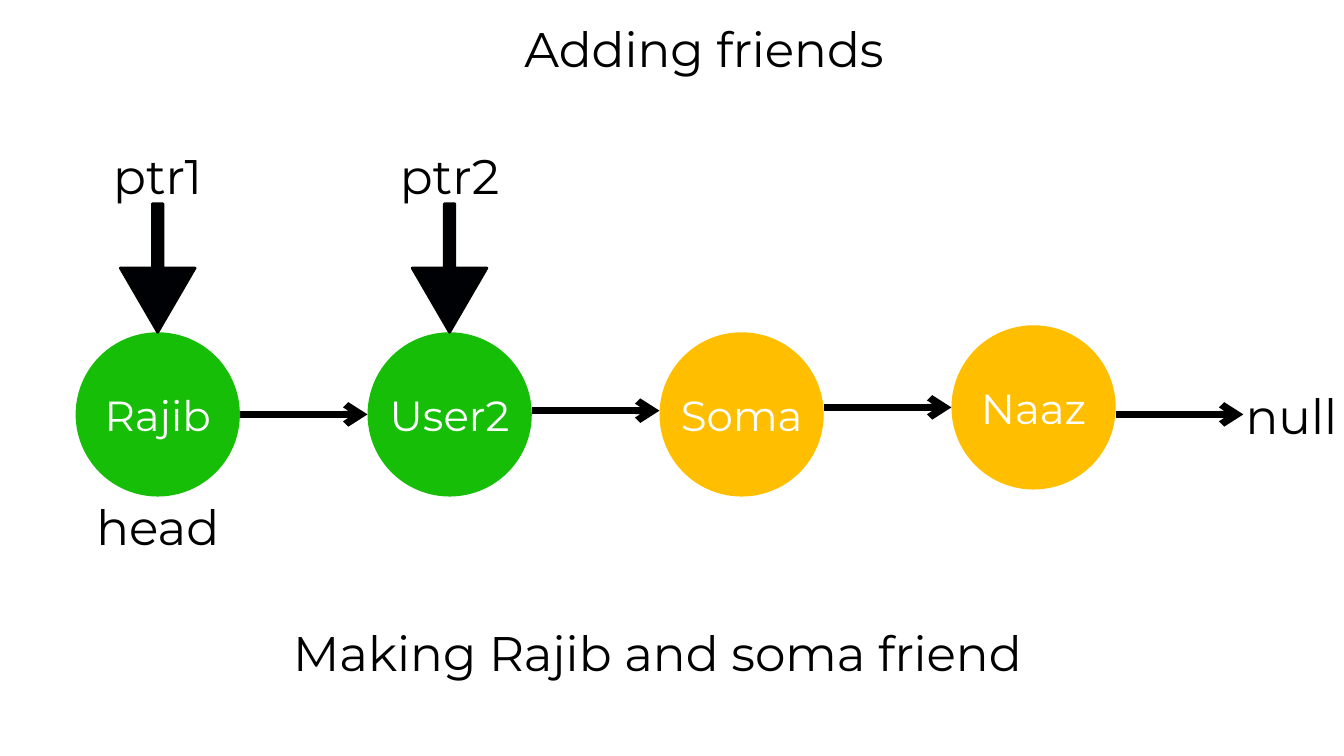
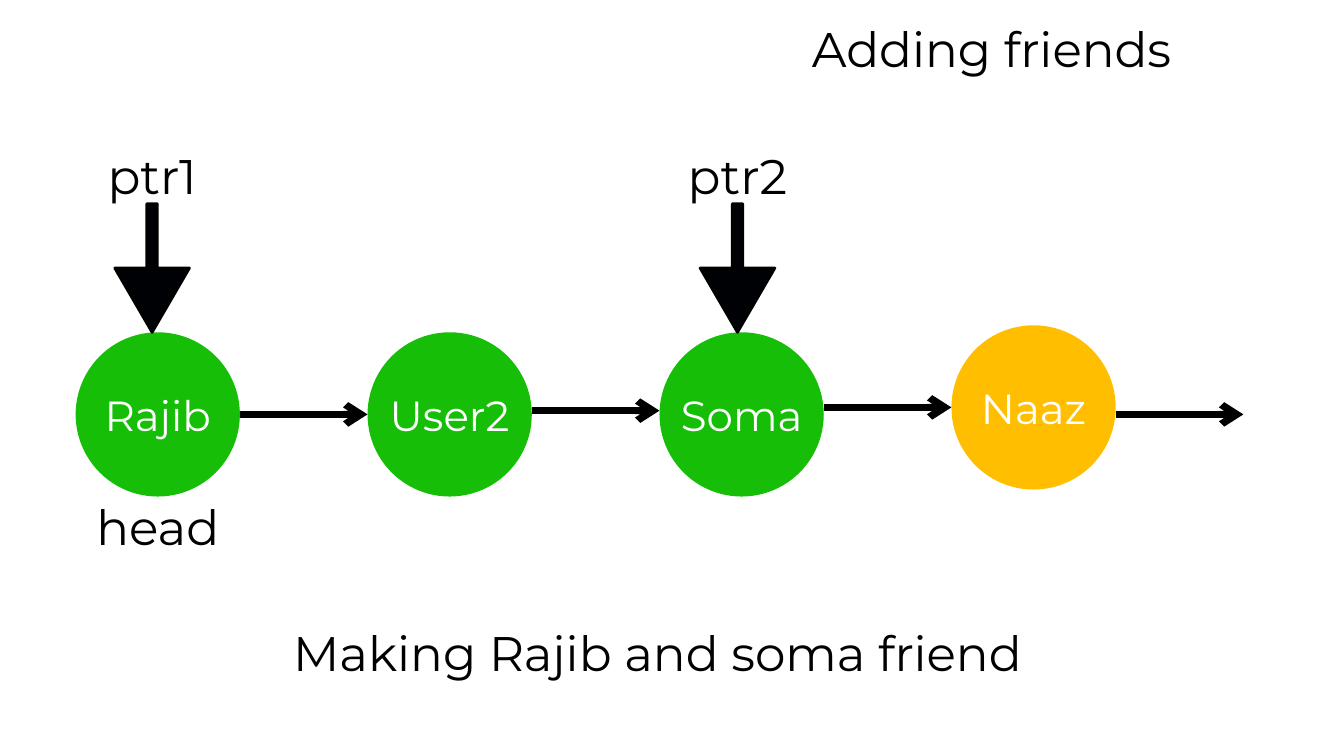
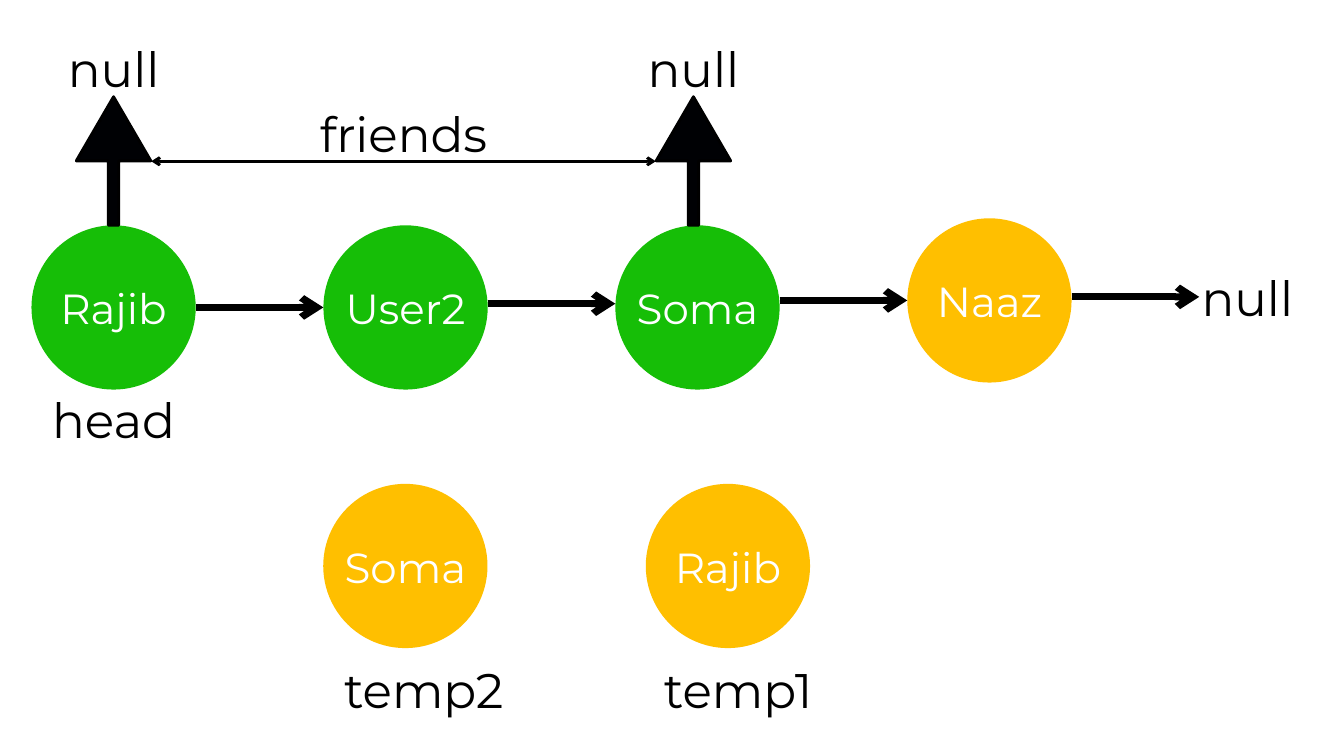
import pptx
import pptx.dml.color
import pptx.enum.shapes
import pptx.enum.text
import pptx.oxml
import pptx.oxml.ns
import pptx.util

Pt = pptx.util.Pt
RGBColor = pptx.dml.color.RGBColor
Shape = pptx.enum.shapes.MSO_SHAPE
Align = pptx.enum.text.PP_ALIGN
Anchor = pptx.enum.text.MSO_ANCHOR

THEME = {
    "green": RGBColor.from_string("16BE07"),
    "amber": RGBColor.from_string("FFBF00"),
    "pointer": RGBColor.from_string("000104"),
    "black": RGBColor.from_string("000000"),
    "white": RGBColor.from_string("FFFFFF"),
    "font": "Montserrat",
    "label": {"size": 52, "spacing": 61.4, "colour": "black"},
    "node": {"size": 45, "spacing": 53.1, "colour": "white"},
}

# Node row, in points
DIAMETER = 176
STEP = 312.8
NAAZ_RISE = 7.5
NAMES = ["Rajib", "User2", "Soma", "Naaz"]

# Pointer arrows and their labels, above the node row
POINTER_WIDTH = 80
POINTER_HEIGHT = 137.8
POINTER_LABEL_RISE = 198.3
POINTER_LABEL_WIDTH = 112
LABEL_HEIGHT = 60.5
TITLE_WIDTH = 481.7
CAPTION = ("Making Rajib and soma friend", 704.5, 668.9, 1409)

# Labels are (text, centre, top, width); lines are (start, end, y, weight, ends);
# link drops are the heights of the row's arrows below the row's middle.
SLIDES = [
    {
        "title_centre": 754.3, "row": (81, 356), "greens": 2,
        "pointers": [("ptr1", 169), ("ptr2", 481.7)],
        "pointer_shape": Shape.DOWN_ARROW,
        "link_drops": [0, -4, -7.5, 0], "ends_in_null": True,
        "labels": [CAPTION], "temps": [], "lines": [],
    },
    {
        "title_centre": 1062.4, "row": (81, 356), "greens": 3,
        "pointers": [("ptr1", 163), ("ptr2", 790.2)],
        "pointer_shape": Shape.DOWN_ARROW,
        "link_drops": [0, -4, -7.5, 0], "ends_in_null": False,
        "labels": [CAPTION], "temps": [], "lines": [],
    },
    {
        "title_centre": None, "row": (33.7, 241.4), "greens": 3,
        "pointers": [("null", 121.7), ("null", 743)],
        "pointer_shape": Shape.UP_ARROW,
        "link_drops": [0, -4, -7.5, -11.3], "ends_in_null": True,
        "labels": [
            ("temp2", 454, 707.8, 176.4),
            ("temp1", 790.9, 707.8, 166.3),
            ("friends", 432.4, 112.3, 190.8),
        ],
        "temps": [("Soma", 346.3, 518.4, "amber"), ("Rajib", 691.9, 518.4, "amber")],
        "lines": [(162, 702.7, 172.8, 3, ["headEnd", "tailEnd"])],
    },
]


def write(box, text, style, **frame_format):
    """Put one centred line of text in a shape, in a style of the theme."""
    frame = box.text_frame
    values = {
        "margin_left": 0, "margin_right": 0, "margin_top": 0, "margin_bottom": 0,
        "vertical_anchor": Anchor.TOP, "word_wrap": True,
        "auto_size": pptx.enum.text.MSO_AUTO_SIZE.NONE,
    }
    for name, value in {**values, **frame_format}.items():
        setattr(frame, name, value)
    para = frame.paragraphs[0]
    para.alignment = Align.CENTER
    para.line_spacing = Pt(style["spacing"])
    span = para.add_run()
    span.text = text
    for name, value in {"name": THEME["font"], "size": Pt(style["size"])}.items():
        setattr(span.font, name, value)
    span.font.color.rgb = THEME[style["colour"]]


deck = pptx.Presentation()
deck.slide_width = Pt(1440)
deck.slide_height = Pt(810)
TITLE_ONLY, BLANK = deck.slide_layouts[5], deck.slide_layouts[6]

for content in SLIDES:
    row_left, row_top = content["row"]
    title_centre = content["title_centre"]
    page = deck.slides.add_slide(TITLE_ONLY if title_centre else BLANK)

    if title_centre:
        title = page.shapes.title
        place = {
            "left": title_centre - TITLE_WIDTH / 2, "top": 20.9,
            "width": TITLE_WIDTH, "height": LABEL_HEIGHT,
        }
        for name, value in place.items():
            setattr(title, name, Pt(value))
        write(title, "Adding friends", THEME["label"])

    # Nodes of the list, then the temporary ones
    nodes = []
    for index, name in enumerate(NAMES):
        top = row_top - (NAAZ_RISE if name == "Naaz" else 0)
        colour = "green" if index < content["greens"] else "amber"
        nodes.append((name, row_left + index * STEP, top, colour))
    for name, left, top, colour in nodes + content["temps"]:
        circle = page.shapes.add_shape(
            Shape.OVAL, Pt(left), Pt(top), Pt(DIAMETER), Pt(DIAMETER))
        circle.shadow.inherit = False
        circle.fill.solid()
        circle.fill.fore_color.rgb = THEME[colour]
        circle.line.fill.background()
        write(circle, name, THEME["node"], vertical_anchor=Anchor.MIDDLE,
              word_wrap=False, margin_top=Pt(2))

    # Links from node to node
    lines = list(content["lines"])
    for index, drop in enumerate(content["link_drops"]):
        start = row_left + index * STEP + DIAMETER
        end = row_left + (index + 1) * STEP
        lines.append((start, end, row_top + DIAMETER / 2 + drop, 7.5, ["tailEnd"]))
    for start, end, y, weight, ends in lines:
        link = page.shapes.add_connector(
            pptx.enum.shapes.MSO_CONNECTOR.STRAIGHT, Pt(start), Pt(y), Pt(end), Pt(y))
        link.line.width = Pt(weight)
        link.line.color.rgb = THEME["black"]
        outline = link.line._get_or_add_ln()
        for tag in ends:
            pptx.oxml.ns.qn("a:" + tag)
            arrowhead = outline.makeelement(pptx.oxml.ns.qn("a:" + tag), {"type": "arrow"})
            outline.append(arrowhead)
        properties = link._element.spPr
        properties.append(properties.makeelement(pptx.oxml.ns.qn("a:effectLst"), {}))

    # Thick pointer arrows
    labels = list(content["labels"])
    for text, centre in content["pointers"]:
        pointer = page.shapes.add_shape(
            content["pointer_shape"], Pt(centre - POINTER_WIDTH / 2),
            Pt(row_top - POINTER_HEIGHT), Pt(POINTER_WIDTH), Pt(POINTER_HEIGHT))
        pointer.adjustments[0] = 0.14
        pointer.adjustments[1] = 0.86
        pointer.shadow.inherit = False
        pointer.fill.solid()
        pointer.fill.fore_color.rgb = THEME["pointer"]
        pointer.line.color.rgb = THEME["black"]
        pointer.line.width = Pt(3)
        labels.append((text, centre, row_top - POINTER_LABEL_RISE, POINTER_LABEL_WIDTH))

    # Labels
    labels.append(("head", row_left + DIAMETER / 2, row_top + 177.5, 137))
    if content["ends_in_null"]:
        _, end, y, _, _ = lines[-1]
        labels.append(("null", end + 51.5, y - 29.5, 103))
    for text, centre, top, width in labels:
        box = page.shapes.add_textbox(
            Pt(centre - width / 2), Pt(top), Pt(width), Pt(LABEL_HEIGHT))
        write(box, text, THEME["label"])

deck.save("out.pptx")
